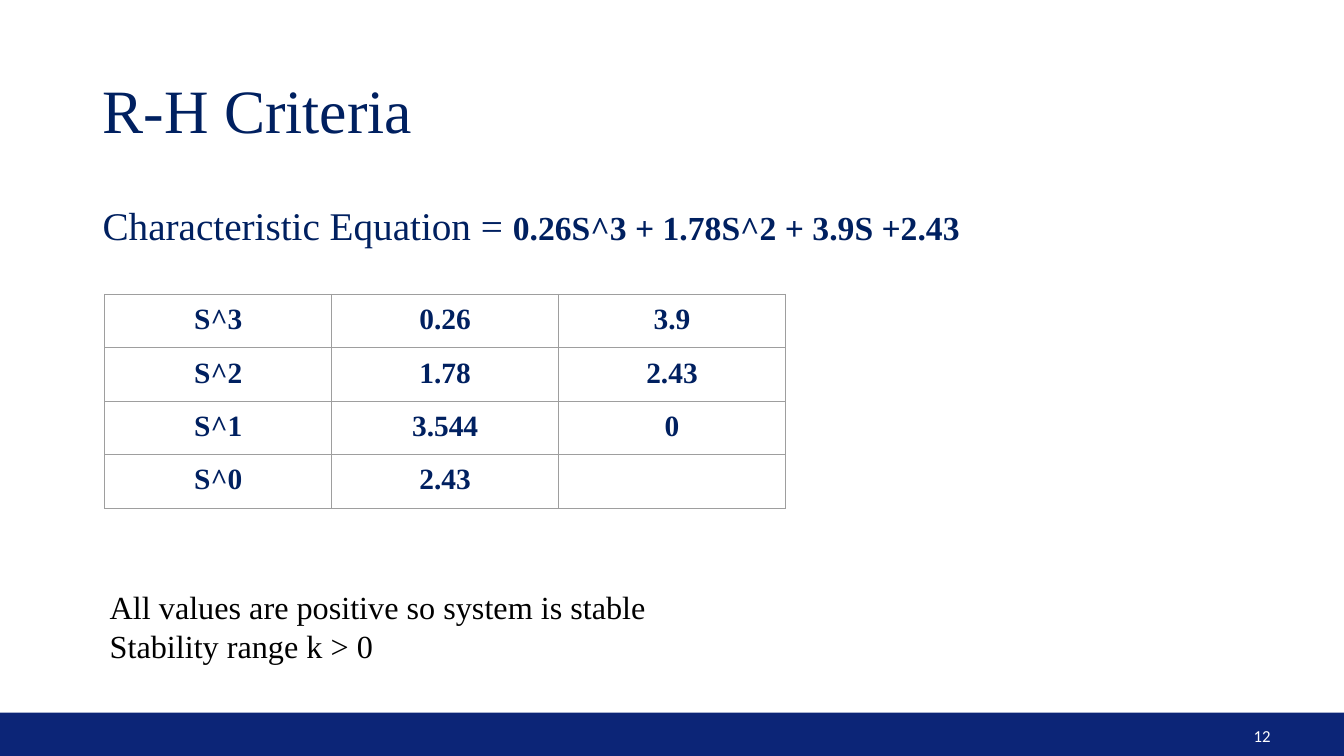
from lxml.etree import SubElement
from pptx import Presentation
from pptx.dml.color import RGBColor
from pptx.enum.shapes import MSO_SHAPE as Shape
from pptx.enum.text import MSO_ANCHOR as Anchor, PP_ALIGN as Align
from pptx.oxml.ns import qn
from pptx.util import Inches, Pt

NAVY = RGBColor(0x00, 0x20, 0x60)
BLUE = RGBColor(0x0C, 0x25, 0x77)
GREY = RGBColor(0x9E, 0x9E, 0x9E)
WHITE = RGBColor(0xFF, 0xFF, 0xFF)
BLACK = RGBColor(0x00, 0x00, 0x00)
SERIF = "Times New Roman"
ROWS = [
    ("S^3", "0.26", "3.9"),
    ("S^2", "1.78", "2.43"),
    ("S^1", "3.544", "0"),
    ("S^0", "2.43", ""),
]


def style(font, size, color, bold=False, name=SERIF):
    """Set the look of a font."""
    font.name, font.size, font.bold = name, Pt(size), bold
    font.color.rgb = color


def add_box(slide, box, pad=0.05):
    """Add a wrapping text box and return its frame."""
    frame = slide.shapes.add_textbox(*map(Inches, box)).text_frame
    frame.word_wrap = True
    frame.margin_top = frame.margin_bottom = Inches(pad)
    return frame


def add_title(slide, box, text):
    """Place and format the title."""
    title = slide.shapes.title
    title.left, title.top, title.width, title.height = map(Inches, box)
    frame = title.text_frame
    frame.text = text
    frame.vertical_anchor = Anchor.MIDDLE
    para = frame.paragraphs[0]
    para.alignment, para.line_spacing = Align.LEFT, 0.9
    style(para.runs[0].font, 44, NAVY)


def add_body(slide, box, label, value):
    """Add the equation line with its label."""
    para = add_box(slide, box).paragraphs[0]
    para.line_spacing, para.space_before = 0.9, Pt(10)
    for text, size, bold in ((label, 28, False), (value, 24, True)):
        run = para.add_run()
        run.text = text
        style(run.font, size, NAVY, bold)


def add_edges(cell):
    """Draw a thin grey border around a cell."""
    props = cell._tc.get_or_add_tcPr()
    for side in ("lnL", "lnR", "lnT", "lnB"):
        line = SubElement(props, qn(f"a:{side}"), w=str(Pt(0.75)))
        fill = SubElement(line, qn("a:solidFill"))
        SubElement(fill, qn("a:srgbClr"), val=str(GREY))


def add_grid(slide, box, rows):
    """Add the Routh table, split evenly over its box."""
    shape = slide.shapes.add_table(len(rows), len(rows[0]), *map(Inches, box))
    table = shape.table
    table.first_row = table.horz_banding = False
    for line, row in zip(table.rows, rows):
        for cell, text in zip(line.cells, row):
            cell.text = text
            cell.margin_left = cell.margin_right = Inches(0.1)
            cell.margin_top = cell.margin_bottom = Inches(0.09)
            para = cell.text_frame.paragraphs[0]
            para.alignment = Align.CENTER
            for run in para.runs:
                style(run.font, 21, NAVY, True)
            add_edges(cell)
            cell.fill.background()


def add_note(slide, box, text):
    """Add the closing remarks."""
    frame = add_box(slide, box, 0.1)
    frame.text = text
    for para in frame.paragraphs:
        style(para.runs[0].font, 23, BLACK)


def add_foot(slide, box, number):
    """Add the bottom bar with the slide number."""
    left, top, width, height = box
    bar = slide.shapes.add_shape(Shape.RECTANGLE, *map(Inches, box))
    bar.shadow.inherit = False
    bar.fill.solid()
    bar.fill.fore_color.rgb = BLUE
    bar.line.fill.background()
    frame = add_box(slide, (left + width - 2.8, top + 0.03, 2.17, 0.4))
    frame.text = number
    frame.vertical_anchor = Anchor.MIDDLE
    para = frame.paragraphs[0]
    para.alignment = Align.RIGHT
    style(para.runs[0].font, 12, WHITE, name="Calibri")


def main():
    """Build the slide and save it."""
    deck = Presentation()
    deck.slide_width, deck.slide_height = Inches(13.33), Inches(7.5)
    slide = deck.slides.add_slide(deck.slide_layouts[5])
    add_foot(slide, (0, 7.07, 13.33, 0.44), "12")
    add_body(slide, (0.92, 2, 11.5, 4.76), "Characteristic Equation = ",
             "0.26S^3 + 1.78S^2 + 3.9S +2.43")
    add_title(slide, (0.92, 0.4, 11.5, 1.45), "R-H Criteria")
    add_grid(slide, (1.04, 2.92, 6.75, 2.08), ROWS)
    add_note(slide, (0.99, 5.73, 9.54, 0.98),
             "All values are positive so system is stable\n"
             "Stability range k > 0")
    deck.save("out.pptx")


if __name__ == "__main__":
    main()
